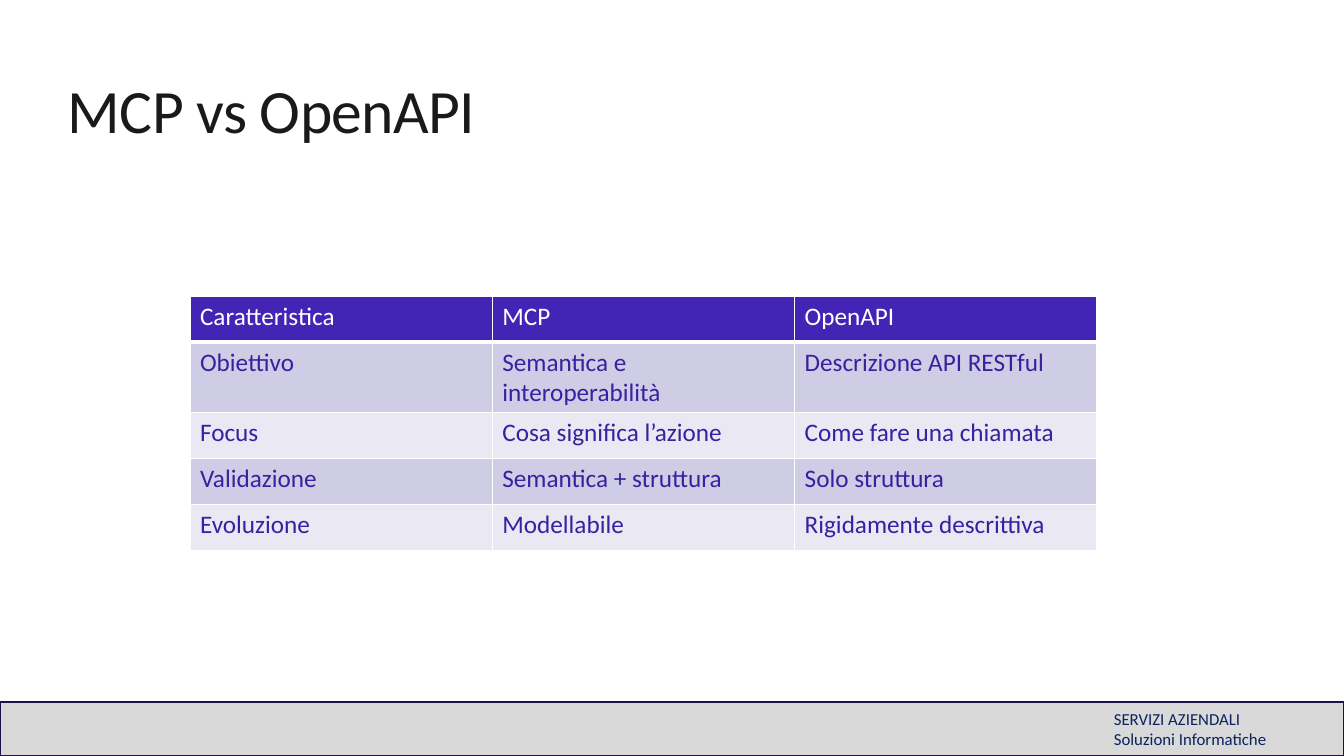
import lxml.etree
import pptx
import pptx.dml.color
import pptx.enum.shapes
import pptx.enum.text
import pptx.oxml.ns
import pptx.util

EMU_PER_PX = 12192000 / 1344
FONT = "Calibri"
COLORS = {
    "white": "FFFFFF", "bar": "D9D9D9", "bar_line": "1E104F",
    "footer": "0C2360", "title": "1A1A1A", "header": "4424B5",
    "body": "3A20A0", "band_dark": "CFCDE5", "band_light": "E9E8F3",
}
ROWS = [
    ("Caratteristica", "MCP", "OpenAPI"),
    ("Obiettivo", "Semantica e interoperabilità", "Descrizione API RESTful"),
    ("Focus", "Cosa significa l’azione", "Come fare una chiamata"),
    ("Validazione", "Semantica + struttura", "Solo struttura"),
    ("Evoluzione", "Modellabile", "Rigidamente descrittiva"),
]


def px(n):
    """Turn pixels into EMU."""
    return pptx.util.Emu(round(n * EMU_PER_PX))


def rgb(name):
    """Look up a named colour."""
    return pptx.dml.color.RGBColor.from_string(COLORS[name])


def add_run(p, text, size, color):
    """Add one styled run to a paragraph."""
    r = p.add_run()
    r.text = text
    r.font.name = FONT
    r.font.size = pptx.util.Pt(size)
    r.font.color.rgb = rgb(color)
    return r


def add_footer_bar(s):
    """Draw the grey band along the bottom edge."""
    sp = s.shapes.add_shape(
        pptx.enum.shapes.MSO_SHAPE.RECTANGLE, 0, px(702), px(1344), px(54))
    sp.shadow.inherit = False
    sp.fill.solid()
    sp.fill.fore_color.rgb = rgb("bar")
    sp.line.color.rgb = rgb("bar_line")
    sp.line.width = pptx.util.Pt(1)


def add_footer_text(s, lines):
    """Write the footer lines, one paragraph each."""
    tf = s.shapes.add_textbox(px(1104), px(704), px(177), px(50)).text_frame
    tf.word_wrap = False
    tf.auto_size = pptx.enum.text.MSO_AUTO_SIZE.SHAPE_TO_FIT_TEXT
    for i, line in enumerate(lines):
        p = tf.add_paragraph() if i else tf.paragraphs[0]
        add_run(p, line, 12, "footer")


def add_title(s, text):
    """Write the slide title."""
    tf = s.shapes.add_textbox(px(68), px(68), px(1210), px(91)).text_frame
    tf.word_wrap = True
    tf.vertical_anchor = pptx.enum.text.MSO_ANCHOR.MIDDLE
    tf.margin_left = tf.margin_right = tf.margin_top = tf.margin_bottom = 0
    p = tf.paragraphs[0]
    p.line_spacing = 0.9
    r = add_run(p, text, 44, "title")
    r.font._element.set("spc", "-50")


def set_borders(cell, bottom):
    """Give a cell white borders, with its own bottom width in points."""
    qn = pptx.oxml.ns.qn
    tc_pr = cell._tc.get_or_add_tcPr()
    for side, width in (("L", 1), ("R", 1), ("T", 1), ("B", bottom)):
        ln = lxml.etree.SubElement(
            tc_pr, qn(f"a:ln{side}"), w=str(pptx.util.Pt(width)))
        fill = lxml.etree.SubElement(ln, qn("a:solidFill"))
        lxml.etree.SubElement(fill, qn("a:srgbClr"), val=COLORS["white"])


def add_comparison(s, rows):
    """Build the banded comparison table."""
    table = s.shapes.add_table(
        len(rows), len(rows[0]), px(190), px(296), px(907), px(46 * len(rows))).table
    for row, texts in zip(table.rows, rows):
        row.height = px(46)
        header = texts is rows[0]
        band = "band_dark" if rows.index(texts) % 2 else "band_light"
        for cell, text in zip(row.cells, texts):
            set_borders(cell, 3 if header else 1)
            cell.fill.solid()
            cell.fill.fore_color.rgb = rgb("header" if header else band)
            r = add_run(cell.text_frame.paragraphs[0], text, 18,
                        "white" if header else "body")
            r.font.bold = False


def main():
    """Build and save the slide."""
    prs = pptx.Presentation()
    prs.slide_width, prs.slide_height = px(1344), px(756)
    s = prs.slides.add_slide(prs.slide_layouts[6])
    add_footer_bar(s)
    add_footer_text(s, ["SERVIZI AZIENDALI", "Soluzioni Informatiche"])
    add_title(s, "MCP vs OpenAPI")
    add_comparison(s, ROWS)
    prs.save("out.pptx")


if __name__ == "__main__":
    main()
